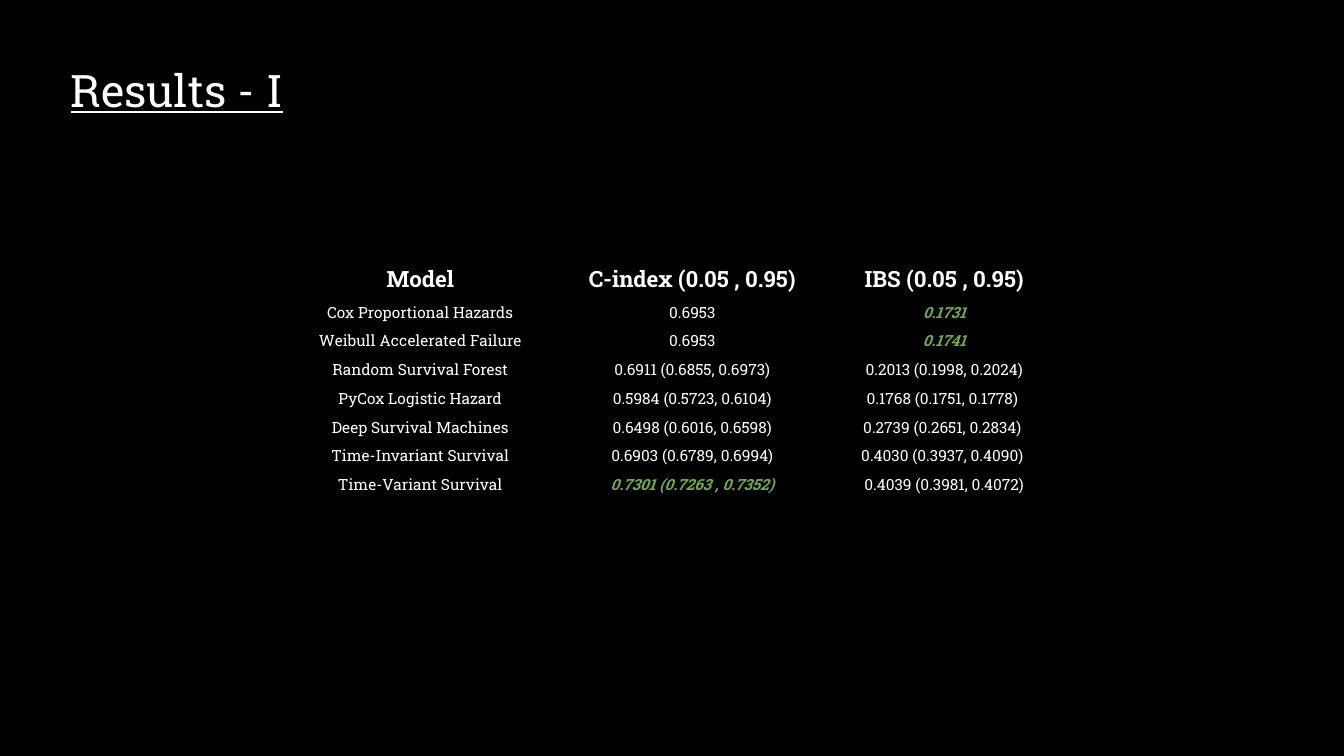
from pptx import Presentation
from pptx.dml.color import RGBColor
from pptx.enum.text import MSO_ANCHOR, PP_ALIGN
from pptx.oxml.ns import qn
from pptx.util import Pt

COLORS = {"black": "000000", "white": "FFFFFF", "green": "70AD47"}
FONT = "Roboto Slab"
NO_GRID = "{2D5ABB26-0587-4C30-8999-92F81FD0307C}"


def write(frame, text, size=11, color="white", bold=False, italic=False,
          under=False, align=PP_ALIGN.CENTER):
    para = frame.paragraphs[0]
    para.alignment = align
    run = para.add_run()
    run.text = text
    font = run.font
    font.name = FONT
    font.size = Pt(size)
    font.bold = bold
    font.italic = italic
    font.underline = under
    font.color.rgb = RGBColor.from_string(COLORS[color])


deck = Presentation()
deck.slide_width = Pt(960)
deck.slide_height = Pt(540)
slide = deck.slides.add_slide(deck.slide_layouts[5])
back = slide.background.fill
back.solid()
back.fore_color.rgb = RGBColor.from_string(COLORS["black"])

title = slide.shapes.title
title.left, title.top = Pt(43.2), Pt(41)
title.width, title.height = Pt(699), Pt(49.4)
title.text_frame.vertical_anchor = MSO_ANCHOR.TOP
write(title.text_frame, "Results - I", size=32, under=True, align=PP_ALIGN.LEFT)

rows = [
    ("Model", "C-index (0.05 , 0.95)", "IBS (0.05 , 0.95)"),
    ("Cox Proportional Hazards", "0.6953", "0.1731"),
    ("Weibull Accelerated Failure", "0.6953", "0.1741"),
    ("Random Survival Forest", "0.6911 (0.6855, 0.6973)", "0.2013 (0.1998, 0.2024)"),
    ("PyCox Logistic Hazard", "0.5984 (0.5723, 0.6104)", "0.1768 (0.1751, 0.1778) "),
    ("Deep Survival Machines", "0.6498 (0.6016, 0.6598)", "0.2739 (0.2651, 0.2834) "),
    ("Time-Invariant Survival", "0.6903 (0.6789, 0.6994)", "0.4030 (0.3937, 0.4090) "),
    ("Time-Variant Survival", "0.7301 (0.7263 , 0.7352)", "0.4039 (0.3981, 0.4072)"),
]
best = {(1, 2), (2, 2), (7, 1)}
widths = [198.7, 190, 170]
heights = [27] + [20.5] * (len(rows) - 1)

frame = slide.shapes.add_table(len(rows), len(widths), Pt(200.9), Pt(185.8),
                               Pt(sum(widths)), Pt(sum(heights)))
table = frame.table
table.horz_banding = False
frame._element.find(".//" + qn("a:tableStyleId")).text = NO_GRID
for col, width in zip(table.columns, widths):
    col.width = Pt(width)
for row, height in zip(table.rows, heights):
    row.height = Pt(height)

for r, row in enumerate(rows):
    for c, text in enumerate(row):
        cell = table.cell(r, c)
        cell.fill.background()
        cell.margin_top = cell.margin_bottom = Pt(3)
        cell.vertical_anchor = MSO_ANCHOR.MIDDLE
        top = (r, c) in best
        write(cell.text_frame, text, size=11 if r else 16,
              color="green" if top else "white", bold=top or r == 0, italic=top)

deck.save("out.pptx")
